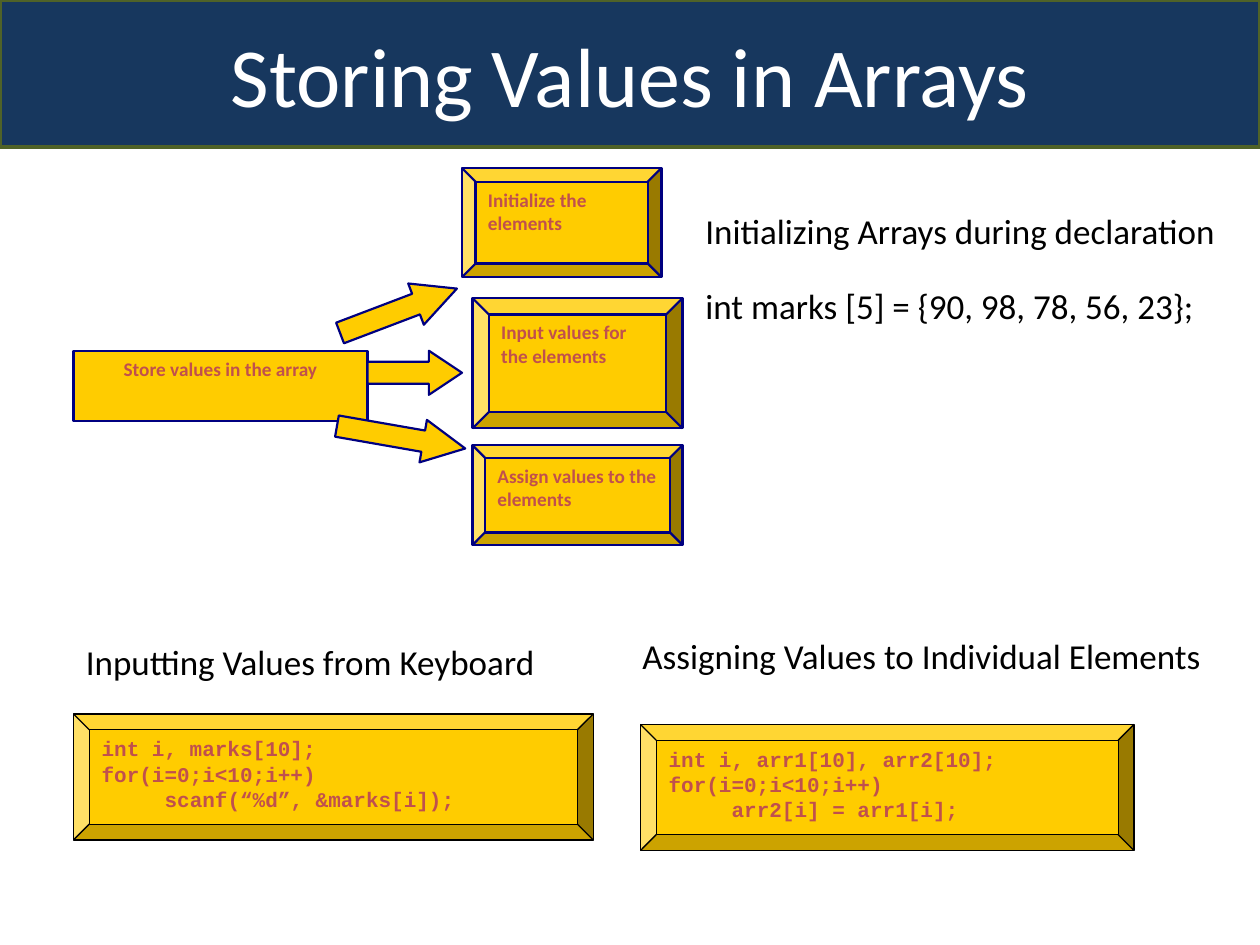
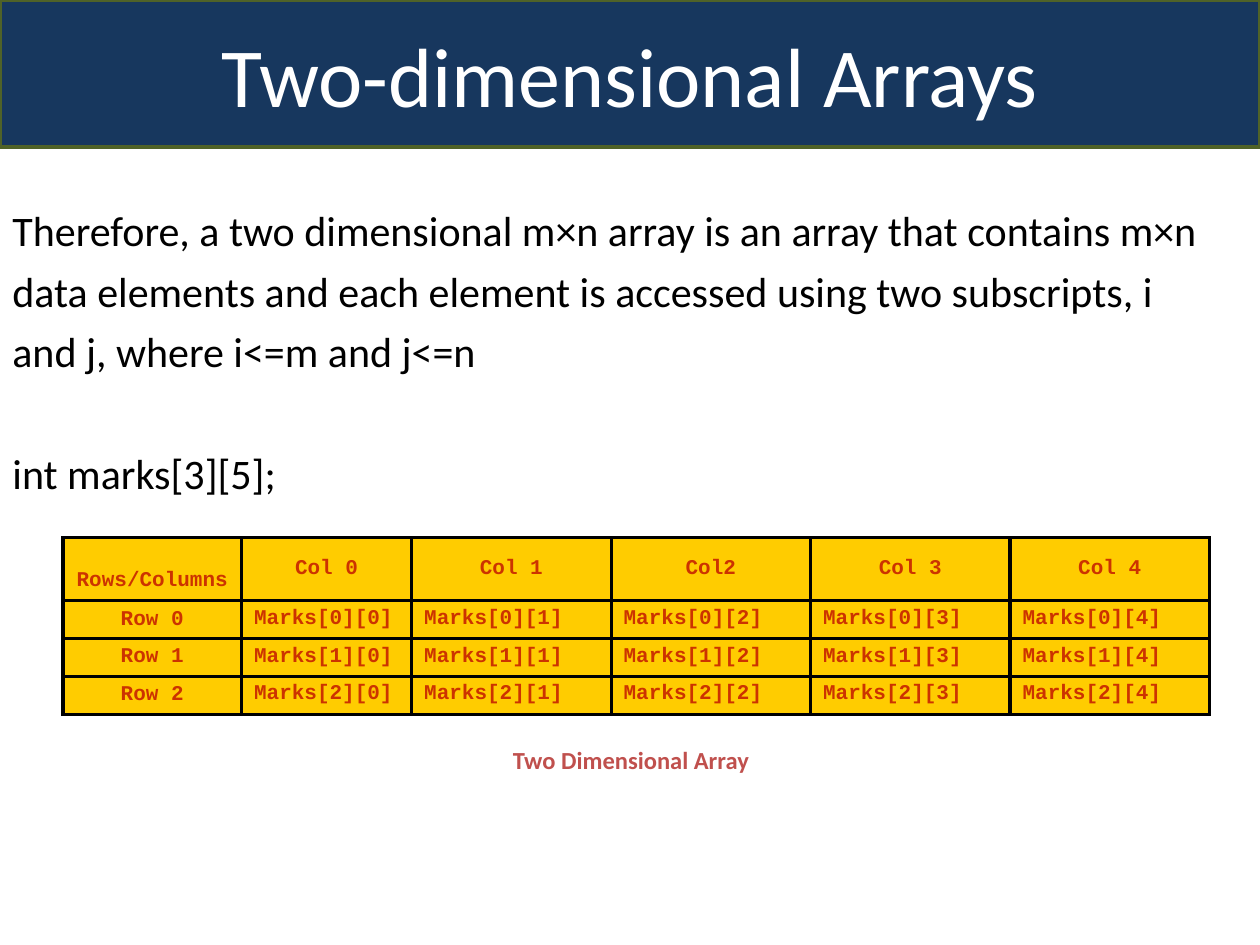
from dataclasses import dataclass
from typing import Any

from lxml import etree
from pptx import Presentation
from pptx.dml.color import RGBColor
from pptx.enum.shapes import MSO_SHAPE
from pptx.enum.text import MSO_ANCHOR, MSO_AUTO_SIZE, PP_ALIGN
from pptx.oxml.ns import qn
from pptx.util import Inches, Pt

# Colours
NAVY = RGBColor(0x17, 0x37, 0x5E)
OLIVE = RGBColor(0x4F, 0x62, 0x28)
GOLD = RGBColor(0xFF, 0xCC, 0x00)
BLUE = RGBColor(0x00, 0x00, 0x80)
RED = RGBColor(0xC0, 0x50, 0x4D)
TABLE_RED = RGBColor(0xCC, 0x33, 0x00)
BLACK = RGBColor(0x00, 0x00, 0x00)
WHITE = RGBColor(0xFF, 0xFF, 0xFF)

# Fonts and enum members
SANS, MONO = "Calibri", "Courier New"
RECT, ROUND = MSO_SHAPE.RECTANGLE, MSO_SHAPE.ROUNDED_RECTANGLE
BEVEL, ARROW = MSO_SHAPE.BEVEL, MSO_SHAPE.RIGHT_ARROW
LEFT, CENTER, JUSTIFY = PP_ALIGN.LEFT, PP_ALIGN.CENTER, PP_ALIGN.JUSTIFY
TOP, MIDDLE = MSO_ANCHOR.TOP, MSO_ANCHOR.MIDDLE
GROW = MSO_AUTO_SIZE.SHAPE_TO_FIT_TEXT

# Slide grid
WIDTH, HEIGHT = Inches(10), Inches(7.5)
COLS, ROWS = 120, 90


@dataclass(frozen=True)
class Area:
    """A place on the grid, in columns and rows."""
    x: float
    y: float
    w: float
    h: float

    def emu(self) -> tuple[int, int, int, int]:
        return col(self.x), row(self.y), col(self.w), row(self.h)


@dataclass(frozen=True)
class Arrow:
    area: Area
    head: float
    angle: float = 0


@dataclass(frozen=True)
class Block:
    area: Area
    text: str


def col(n: float) -> int:
    return round(WIDTH * n / COLS)


def row(n: float) -> int:
    return round(HEIGHT * n / ROWS)


def write(tf: Any, text: str, *, size: float, font: str = SANS,
          color: RGBColor = BLACK, bold: bool = False, align: Any = LEFT,
          line: float | None = None, gap: float = 0) -> None:
    """Write each line of text as a paragraph, with a gap between them."""
    for i, words in enumerate(text.split("\n")):
        p = tf.paragraphs[0] if i == 0 else tf.add_paragraph()
        p.alignment = align
        p.space_before = Pt(gap if i else 0)
        if line:
            p.line_spacing = line
        r = p.add_run()
        r.text = words
        r.font.name, r.font.size, r.font.bold = font, Pt(size), bold
        r.font.color.rgb = color


def draw(shapes: Any, kind: Any, area: Area, *, fill: RGBColor = GOLD,
         line: RGBColor = BLUE, weight: float = 1.25, anchor: Any = TOP) -> Any:
    sp = shapes.add_shape(kind, *area.emu())
    sp.shadow.inherit = False
    sp.fill.solid()
    sp.fill.fore_color.rgb = fill
    sp.line.color.rgb = line
    sp.line.width = Pt(weight)
    sp.text_frame.word_wrap = True
    sp.text_frame.vertical_anchor = anchor
    return sp


def text_box(s: Any, area: Area, text: str, *, anchor: Any = MIDDLE,
             wrap: bool = True, inset: bool = True, **fmt: Any) -> None:
    tf = s.shapes.add_textbox(*area.emu()).text_frame
    tf.word_wrap = wrap
    tf.auto_size = GROW
    tf.vertical_anchor = anchor
    if not inset:
        tf.margin_left = tf.margin_right = tf.margin_top = tf.margin_bottom = 0
    write(tf, text, **fmt)


def titled_slide(prs: Any, title: str) -> Any:
    s = prs.slides.add_slide(prs.slide_layouts[6])
    band = draw(s.shapes, ROUND, Area(0, 0, COLS, 14), fill=NAVY, line=OLIVE,
                weight=2, anchor=MIDDLE)
    band.adjustments[0] = 0
    write(band.text_frame, title, size=48, color=WHITE, align=CENTER)
    return s


def style_cell(cell: Any, text: str, align: Any, anchor: Any) -> None:
    tc_pr = cell._tc.get_or_add_tcPr()
    for side in ("lnL", "lnR", "lnT", "lnB"):
        ln = etree.SubElement(tc_pr, qn(f"a:{side}"), w=str(Pt(2)))
        solid = etree.SubElement(ln, qn("a:solidFill"))
        etree.SubElement(solid, qn("a:srgbClr"), val=str(BLACK))
    cell.fill.solid()
    cell.fill.fore_color.rgb = GOLD
    cell.vertical_anchor = anchor
    write(cell.text_frame, text, size=12, font=MONO, color=TABLE_RED,
          bold=True, align=align)


def storing_slide(prs: Any) -> None:
    s = titled_slide(prs, "Storing Values in Arrays")
    label = dict(size=11, color=RED, bold=True)

    # Diagram: one task and its three ways
    diagram = s.shapes.add_group_shape().shapes
    task = draw(diagram, RECT, Area(7, 33.4, 28, 6.7))
    write(task.text_frame, "Store values in the array", align=CENTER, **label)
    for arrow in (Arrow(Area(32, 27.5, 11.9, 4.2), 0.99, 339.2),
                  Arrow(Area(35, 33.4, 9, 4.2), 0.75),
                  Arrow(Area(32, 39.6, 12.4, 4.1), 0.99, 9.9)):
        sp = draw(diagram, ARROW, arrow.area)
        sp.adjustments[1] = arrow.head
        sp.rotation = arrow.angle
    for way in (Block(Area(44, 16, 19, 10.4), "Initialize the elements"),
                Block(Area(45, 28.4, 20, 12.4), "Input values for the elements"),
                Block(Area(45, 42.4, 20, 9.5), "Assign values to the elements")):
        sp = draw(diagram, BEVEL, way.area)
        write(sp.text_frame, way.text, **label)

    # Code examples
    loop = "for(i=0;i<10;i++)"
    for code in (
            Block(Area(7, 68, 49.5, 12),
                  f"int i, marks[10];\n{loop}\n\tscanf(“%d”, &marks[i]);"),
            Block(Area(61, 69, 47, 12),
                  f"int i, arr1[10], arr2[10];\n{loop}\n\tarr2[i] = arr1[i];")):
        sp = draw(s.shapes, BEVEL, code.area, line=BLACK, weight=0.75)
        write(sp.text_frame, code.text, size=12, font=MONO, color=RED, bold=True)

    # Headings
    text_box(s, Area(7, 60.4, 45.6, 5.2), "Inputting Values from Keyboard",
             wrap=False, size=20, align=JUSTIFY)
    text_box(s, Area(60, 59.8, 57, 5.2), "Assigning Values to Individual Elements",
             size=20, align=JUSTIFY)
    text_box(s, Area(66, 18, 52.3, 14),
             "Initializing Arrays during declaration\n"
             "int marks [5] = {90, 98, 78, 56, 23};",
             anchor=TOP, size=20, line=1.35, gap=10)


def two_dimensional_slide(prs: Any) -> None:
    s = titled_slide(prs, "Two-dimensional Arrays")
    text_box(s, Area(0, 18, 117, 30),
             "Therefore, a two dimensional m×n array is an array that contains "
             "m×n data elements and each element is accessed using two "
             "subscripts, i and j, where i<=m and j<=n\nint marks[3][5];",
             size=24, line=1.2, gap=35)

    # Table of subscripts
    header = ["Rows/Columns", "Col 0", "Col 1", "Col2", "Col 3", "Col 4"]
    body = [[f"Row {i}"] + [f"Marks[{i}][{j}]" for j in range(5)]
            for i in range(3)]
    widths = [17, 16.2] + [19] * 4
    heights = [6] + [3.6] * 3
    area = Area(6, 51.2, sum(widths), sum(heights))
    table = s.shapes.add_table(len(heights), len(widths), *area.emu()).table
    for column, width in zip(table.columns, widths):
        column.width = col(width)
    for line, height in zip(table.rows, heights):
        line.height = row(height)
    for i, texts in enumerate([header] + body):
        for j, text in enumerate(texts):
            is_label = i == 0 or j == 0
            style_cell(table.cell(i, j), text, CENTER if is_label else LEFT,
                       MIDDLE if is_label else TOP)
    table.cell(0, 0).margin_top = Inches(0.24)

    # Caption
    text_box(s, Area(42, 71, 36.2, 2.8), "Two Dimensional Array", inset=False,
             size=14, color=RED, bold=True, align=CENTER)


def main() -> None:
    prs = Presentation()
    prs.slide_width, prs.slide_height = WIDTH, HEIGHT
    storing_slide(prs)
    two_dimensional_slide(prs)
    prs.save("out.pptx")


if __name__ == "__main__":
    main()
